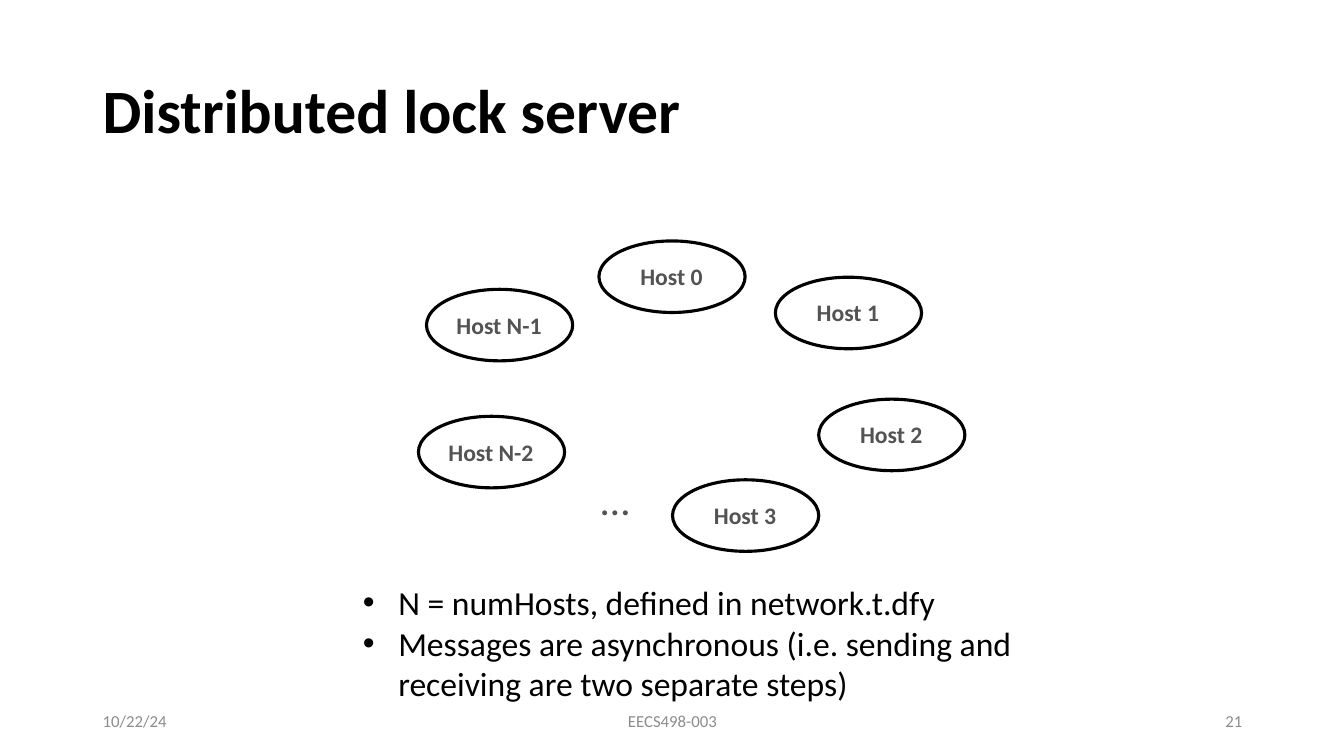
from lxml import etree
from pptx import Presentation
from pptx.dml.color import RGBColor
from pptx.enum.shapes import MSO_SHAPE
from pptx.enum.text import MSO_ANCHOR, PP_ALIGN
from pptx.oxml.ns import qn
from pptx.util import Pt

PX = 9144
COLORS = {"paper": "FFFFFF", "ink": "000000", "label": "535353", "footer": "8C8C8C"}
FONT = "Calibri"
HOST_SIZE = (145, 71)
LABEL_OFFSET = (25, 17)
LABEL_SIZE = (94, 36)
HOSTS = [
    ("Host 0", 594, 239),
    ("Host 1", 769, 275),
    ("Host 2", 812, 396),
    ("Host 3", 667, 476),
    ("Host N-1", 423, 287),
    ("Host N-2", 415, 413),
]
NOTES = [
    "N = numHosts, defined in network.t.dfy",
    "Messages are asynchronous (i.e. sending and receiving are two separate steps)",
]


def color(name):
    return RGBColor.from_string(COLORS[name])


def emu(box):
    return [length * PX for length in box]


def add_bullet(paragraph, indent):
    properties = paragraph._p.get_or_add_pPr()
    properties.set("marL", str(indent * PX))
    properties.set("indent", str(-indent * PX))
    etree.SubElement(properties, qn("a:buFont")).set("typeface", "Arial")
    etree.SubElement(properties, qn("a:buChar")).set("char", "•")


def write(shape, lines, size, ink, bold=False, align=PP_ALIGN.LEFT,
          inset=None, wrap=True, bullet_indent=None, line_spacing=None):
    frame = shape.text_frame
    frame.word_wrap = wrap
    frame.vertical_anchor = MSO_ANCHOR.MIDDLE
    if inset is not None:
        frame.margin_left = frame.margin_right = inset * PX
        frame.margin_top = frame.margin_bottom = inset * PX
    frame.text = "\n".join(lines)
    for paragraph in frame.paragraphs:
        if bullet_indent:
            add_bullet(paragraph, bullet_indent)
        paragraph.alignment = align
        if line_spacing:
            paragraph.line_spacing = line_spacing
        paragraph.font.name = FONT
        paragraph.font.size = Pt(size)
        paragraph.font.bold = bold
        paragraph.font.color.rgb = color(ink)


def add_text(slide, box, lines, size, ink, **style):
    write(slide.shapes.add_textbox(*emu(box)), lines, size, ink, **style)


def add_filled(shapes, kind, box):
    shape = shapes.add_shape(kind, *emu(box))
    shape.shadow.inherit = False
    shape.fill.solid()
    shape.fill.fore_color.rgb = color("paper")
    return shape


def add_host(slide, name, left, top):
    group = slide.shapes.add_group_shape()
    ellipse = add_filled(group.shapes, MSO_SHAPE.OVAL, (left, top, *HOST_SIZE))
    ellipse.line.color.rgb = color("ink")
    ellipse.line.width = Pt(2.25)
    label_box = (left + LABEL_OFFSET[0], top + LABEL_OFFSET[1], *LABEL_SIZE)
    label = add_filled(group.shapes, MSO_SHAPE.RECTANGLE, label_box)
    label.line.fill.background()
    write(label, [name], 16.9, "label", bold=True, align=PP_ALIGN.CENTER, inset=4, wrap=False)


def add_ring(slide, ellipsis_box):
    for name, left, top in HOSTS:
        add_host(slide, name, left, top)
    add_text(slide, ellipsis_box, ["…"], 29.5, "label",
             align=PP_ALIGN.CENTER, inset=4, wrap=False)


def add_footer(slide, box):
    left, top, width, height = box
    side, middle = 300, 450
    parts = [
        ("10/22/24", left, side, PP_ALIGN.LEFT),
        ("EECS498-003", left + (width - middle) // 2, middle, PP_ALIGN.CENTER),
        ("21", left + width - side, side, PP_ALIGN.RIGHT),
    ]
    for text, part_left, part_width, align in parts:
        add_text(slide, (part_left, top, part_width, height), [text], 12, "footer", align=align)


def main():
    presentation = Presentation()
    presentation.slide_width, presentation.slide_height = emu((1333, 750))
    slide = presentation.slides.add_slide(presentation.slide_layouts[6])
    slide.background.fill.solid()
    slide.background.fill.fore_color.rgb = color("paper")
    add_text(slide, (92, 40, 1150, 145), ["Distributed lock server"], 44, "ink",
             bold=True, line_spacing=0.9)
    add_ring(slide, (592, 466, 36, 58))
    add_text(slide, (356, 573, 672, 129), NOTES, 24, "ink", inset=4, bullet_indent=35)
    add_footer(slide, (92, 695, 1150, 40))
    presentation.save("out.pptx")


if __name__ == "__main__":
    main()
